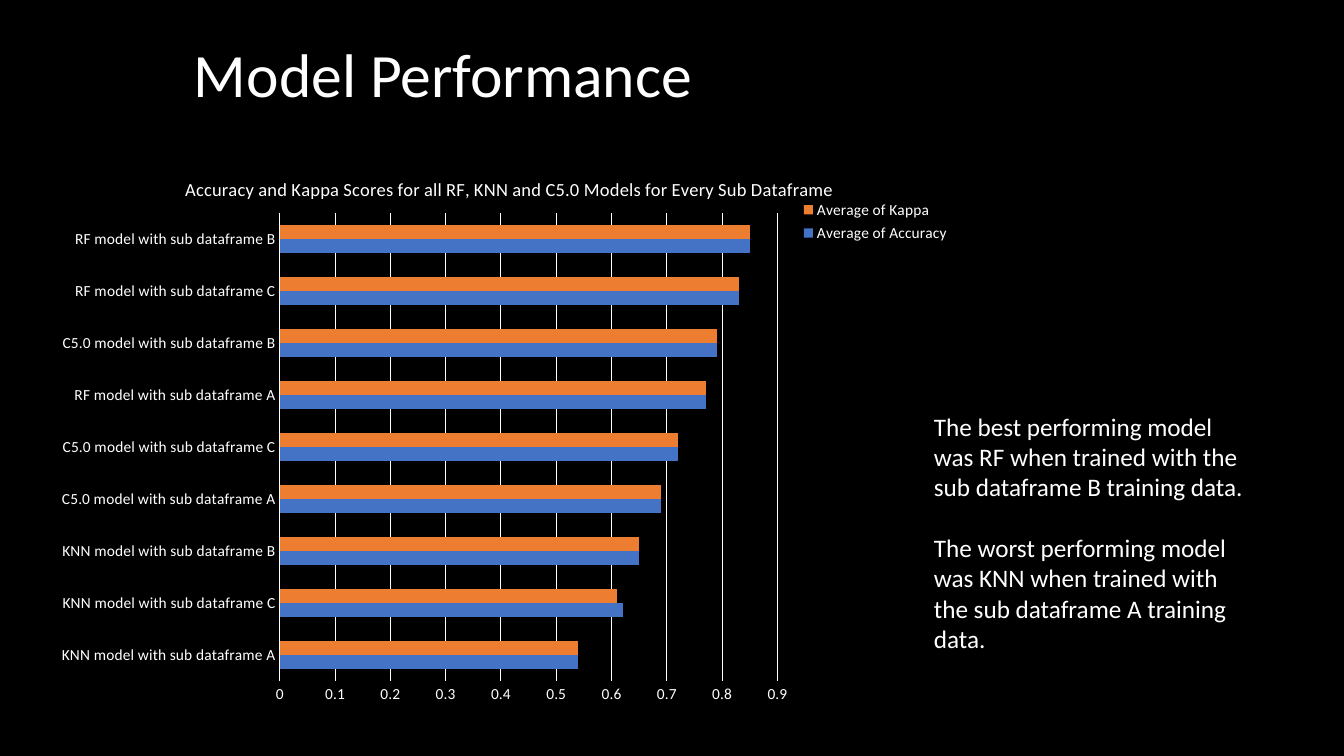
from lxml.etree import SubElement
from pptx import Presentation
from pptx.chart.data import CategoryChartData
from pptx.dml.color import RGBColor
from pptx.enum.chart import XL_CHART_TYPE, XL_LEGEND_POSITION, XL_TICK_MARK
from pptx.enum.text import MSO_ANCHOR
from pptx.oxml.ns import qn
from pptx.util import Emu, Pt

PX = 914400 / 100.8
FONT = "Calibri"
BLACK = RGBColor(0x00, 0x00, 0x00)
WHITE = RGBColor(0xFF, 0xFF, 0xFF)
BLUE = RGBColor(0x44, 0x72, 0xC4)
ORANGE = RGBColor(0xED, 0x7D, 0x31)

MODELS = ["KNN A", "KNN C", "KNN B", "C5.0 A", "C5.0 C", "RF A", "C5.0 B", "RF C", "RF B"]
SCORES = [
    ("Average of Accuracy", BLUE, [0.54, 0.62, 0.65, 0.69, 0.72, 0.77, 0.79, 0.83, 0.85]),
    ("Average of Kappa", ORANGE, [0.54, 0.61, 0.65, 0.69, 0.72, 0.77, 0.79, 0.83, 0.85]),
]
CHART_TITLE = "Accuracy and Kappa Scores for all RF, KNN and C5.0 Models for Every Sub Dataframe"
FINDINGS = [
    "The best performing model was RF when trained with the sub dataframe B training data.",
    "The worst performing model was KNN when trained with the sub dataframe A training data.",
]


def px(*lengths):
    """Turn pixels into EMU."""
    return [Emu(round(n * PX)) for n in lengths]


def set_font(font, size):
    """Apply the slide's typeface and text colour."""
    font.name, font.size, font.bold = FONT, Pt(size), False
    font.color.rgb = WHITE


def set_line(line):
    """Draw a thin white line."""
    line.color.rgb = WHITE
    line.width = Pt(0.75)


def place(element, before, inner=False, **fractions):
    """Give a chart part a manual layout in fractions of the chart."""
    for old in element.findall(qn("c:layout")):
        element.remove(old)
    layout = SubElement(element, qn("c:layout"))
    manual = SubElement(layout, qn("c:manualLayout"))
    if inner:
        SubElement(manual, qn("c:layoutTarget")).set("val", "inner")
    for key in ("x", "y"):
        SubElement(manual, qn(f"c:{key}Mode")).set("val", "edge")
    for key, value in fractions.items():
        SubElement(manual, qn(f"c:{key}")).set("val", str(value))
    following = next((e for e in element if e.tag in map(qn, before)), None)
    if following is not None:
        following.addprevious(layout)


class Deck:
    """Holds the presentation, its style and the current slide."""

    def __init__(self, width, height):
        """Start a deck with one black blank slide."""
        self.prs = Presentation()
        self.prs.slide_width, self.prs.slide_height = px(width, height)
        self.s = self.prs.slides.add_slide(self.prs.slide_layouts[6])
        fill = self.s.background.fill
        fill.solid()
        fill.fore_color.rgb = BLACK

    def text(self, box, paragraphs, size, anchor=MSO_ANCHOR.TOP, gap=0, spacing=1.0):
        """Add a wrapped text box with a gap between paragraphs."""
        tf = self.s.shapes.add_textbox(*px(*box)).text_frame
        tf.word_wrap = True
        tf.vertical_anchor = anchor
        tf.text = "\n".join(paragraphs)
        for i, p in enumerate(tf.paragraphs):
            p.line_spacing = spacing
            p.space_before = Pt(gap if i else 0)
            for r in p.runs:
                set_font(r.font, size)

    def bar_chart(self, box, title, categories, series, size):
        """Add a clustered bar chart with title and legend."""
        data = CategoryChartData()
        data.categories = categories
        for name, _, values in series:
            data.add_series(name, values)
        chart = self.s.shapes.add_chart(XL_CHART_TYPE.BAR_CLUSTERED, *px(*box), data).chart
        set_font(chart.font, size)

        chart.has_title = True
        tf = chart.chart_title.text_frame
        tf.text = title
        set_font(tf.paragraphs[0].runs[0].font, size * 1.2)
        chart.chart_title.include_in_layout = False

        plot = chart.plots[0]
        plot.gap_width, plot.overlap = 182, 0
        plot.vary_by_categories = False
        for bars, (_, color, _) in zip(plot.series, series):
            bars.format.fill.solid()
            bars.format.fill.fore_color.rgb = color

        for axis in (chart.category_axis, chart.value_axis):
            axis.major_tick_mark = axis.minor_tick_mark = XL_TICK_MARK.NONE
            set_font(axis.tick_labels.font, size)
        set_line(chart.category_axis.format.line)
        axis = chart.value_axis
        axis.minimum_scale, axis.maximum_scale, axis.major_unit = 0, 0.9, 0.1
        axis.format.line.fill.background()
        set_line(axis.major_gridlines.format.line)

        chart.has_legend = True
        legend = chart.legend
        legend.position = XL_LEGEND_POSITION.RIGHT
        legend.include_in_layout = False
        set_font(legend.font, size)

        root = chart.element.chart
        place(root.find(qn("c:title")), ["c:overlay"], x=0.15, y=0.04)
        place(root.plotArea, ["c:barChart"], inner=True, x=0.256, y=0.11, w=0.538, h=0.83)
        place(root.find(qn("c:legend")), ["c:overlay", "c:spPr", "c:txPr"],
              x=0.815, y=0.08, w=0.17, h=0.09)


def main():
    """Build the slide and save it."""
    deck = Deck(1344, 756)
    deck.text((184, 5, 1159, 146), ["Model Performance"], 44, MSO_ANCHOR.MIDDLE, spacing=0.9)
    categories = ["{} model with sub dataframe {}".format(*m.split()) for m in MODELS]
    deck.bar_chart((43, 151, 925, 564), CHART_TITLE, categories, SCORES, 11)
    deck.text((924, 406, 332, 254), FINDINGS, 18, gap=22)
    deck.prs.save("out.pptx")


main()
